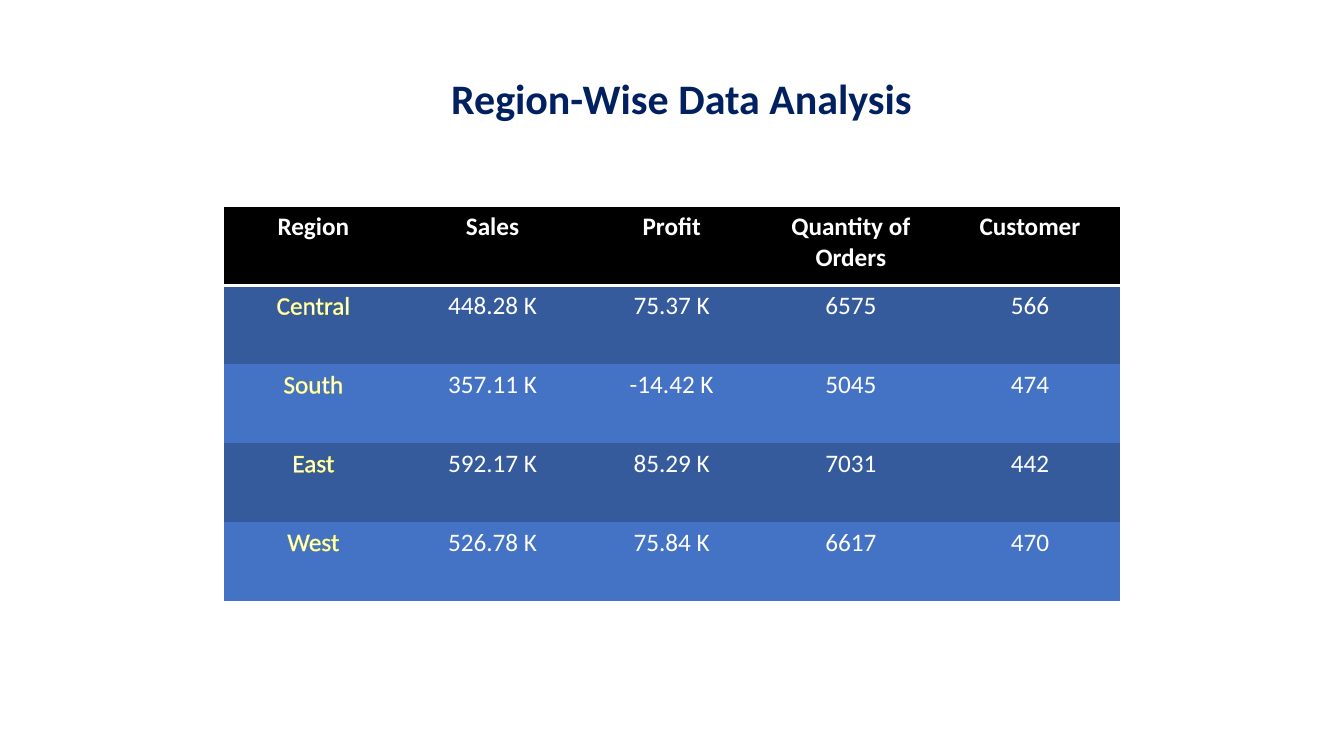
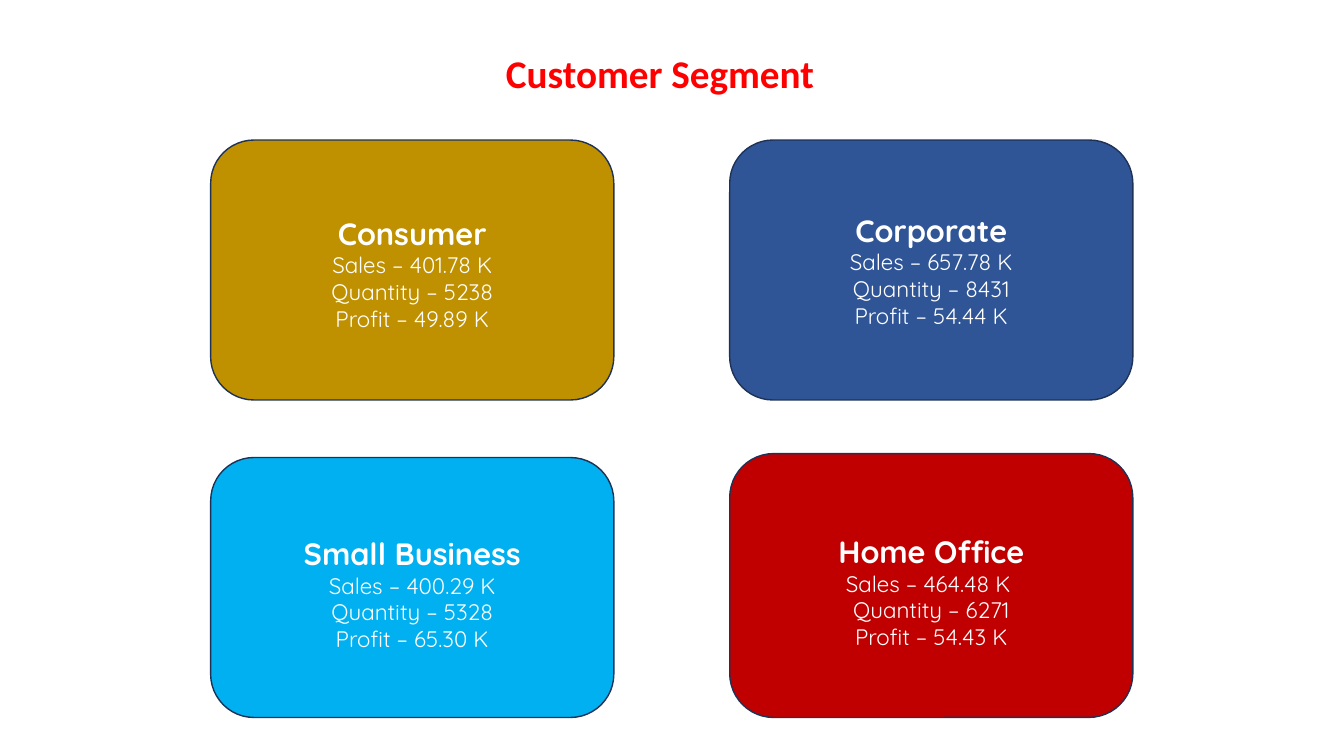
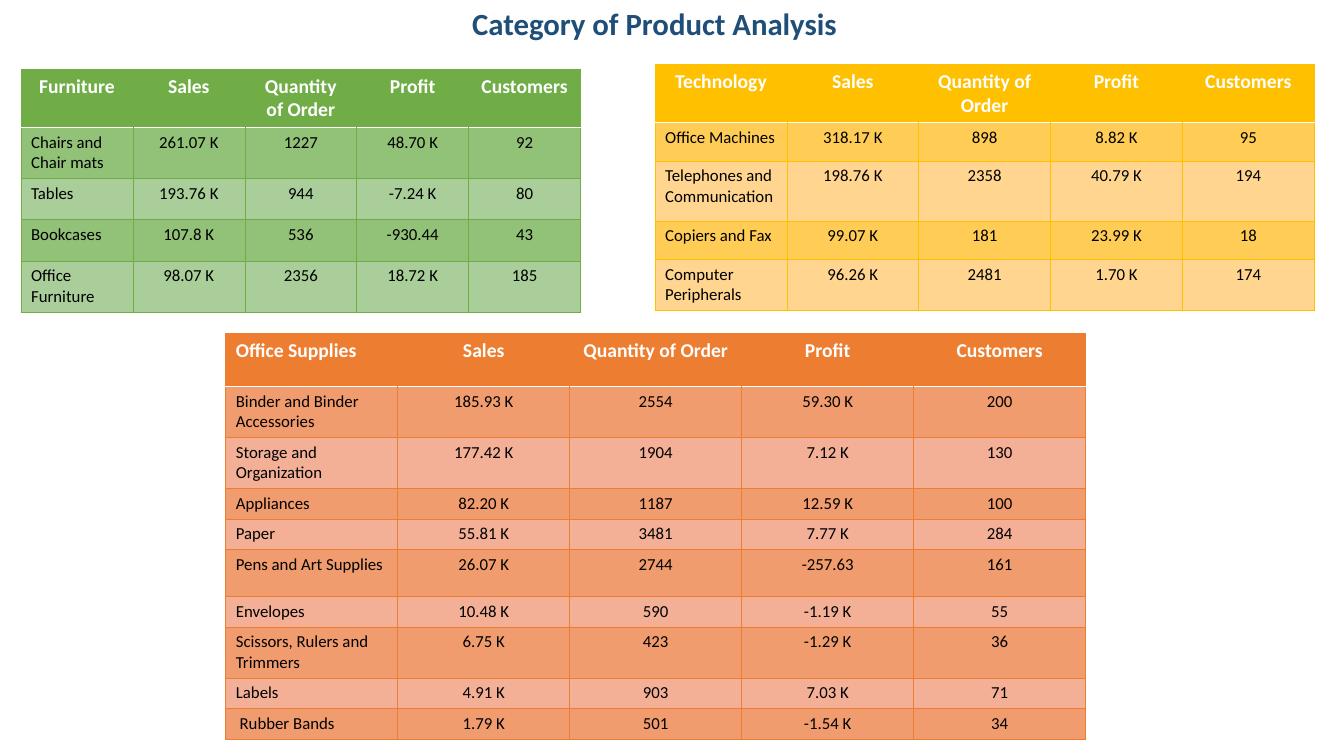
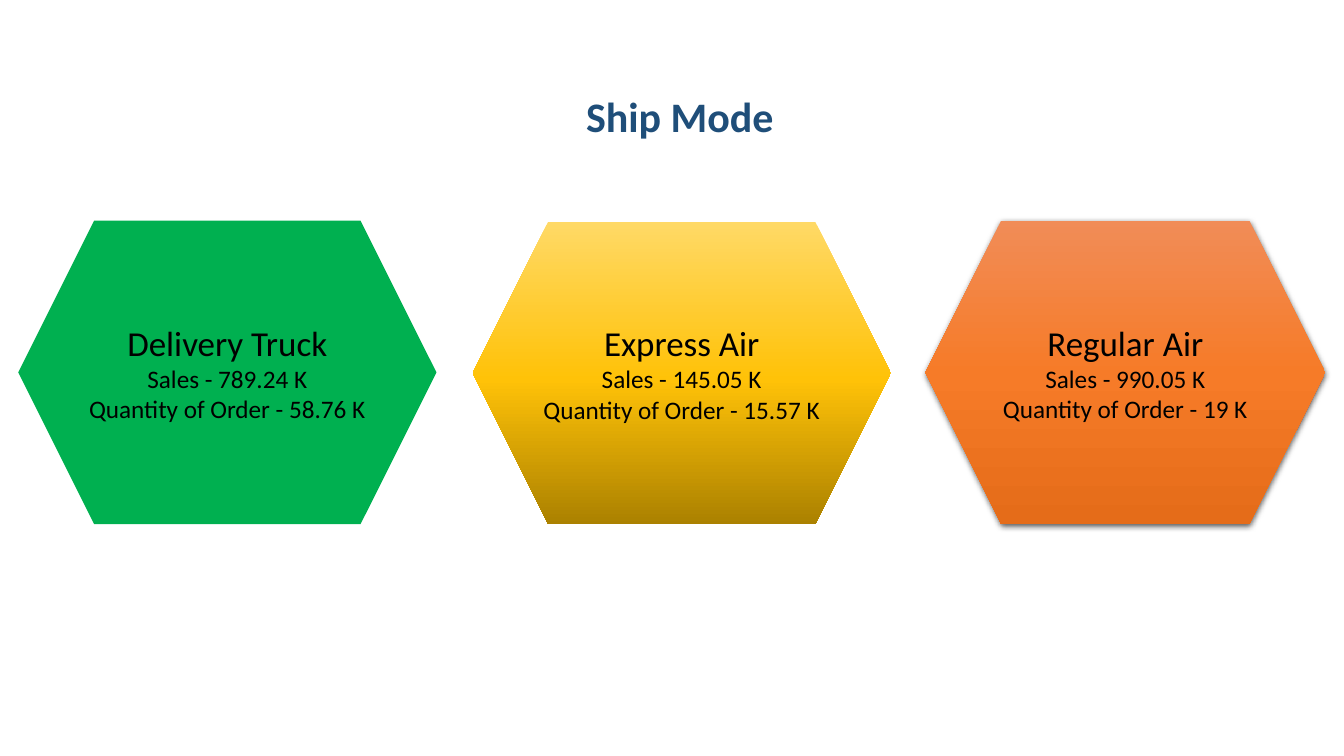
from collections import namedtuple
from dataclasses import dataclass

from lxml.etree import SubElement
from pptx import Presentation
from pptx.dml.color import RGBColor
from pptx.enum.shapes import MSO_SHAPE
from pptx.enum.text import MSO_ANCHOR, MSO_AUTO_SIZE, PP_ALIGN
from pptx.oxml.ns import qn
from pptx.util import Cm, Pt

Box = namedtuple("Box", "x y w h")
Grid = namedtuple("Grid", "box color pale heights data lead", defaults=[PP_ALIGN.CENTER])


@dataclass(frozen=True)
class Theme:
    """Colours, fonts and type sizes of the deck."""
    face: str = "Calibri"
    round_face: str = "Quicksand"
    white: str = "FFFFFF"
    black: str = "000000"
    navy: str = "002060"
    steel: str = "1F4E79"
    red: str = "FF0000"
    yellow: str = "FFFF00"
    edge: str = "1E3256"
    bands: tuple = ("365B9D", "4472C4")
    green: str = "70AD47"
    orange: str = "ED7D31"
    gold: str = "FFC000"
    emerald: str = "00B050"
    title: int = 30
    mid_title: int = 28
    low_title: int = 22
    large: int = 18
    head: int = 14
    cell: int = 12
    card_head: int = 22
    card: int = 16
    mode: int = 25


T = Theme()
NO_GRID = "{2D5ABB26-0587-4C30-8999-92F81FD0307C}"
TALL, LOW = 1.28, 0.77

REGIONS = """Region|Sales|Profit|Quantity of Orders|Customer
Central|448.28 K|75.37 K|6575|566
South|357.11 K|-14.42 K|5045|474
East|592.17 K|85.29 K|7031|442
West|526.78 K|75.84 K|6617|470"""

CHAIRS = """Furniture|Sales|Quantity of Order|Profit|Customers
Chairs and Chair mats|261.07 K|1227|48.70 K|92
Tables|193.76 K|944|-7.24 K|80
Bookcases|107.8 K|536|-930.44|43
Office Furniture|98.07 K|2356|18.72 K|185"""

TECH = """Technology|Sales|Quantity of Order|Profit|Customers
Office Machines|318.17 K|898|8.82 K|95
Telephones and Communication|198.76 K|2358|40.79 K|194
Copiers and Fax|99.07 K|181|23.99 K|18
Computer Peripherals|96.26 K|2481|1.70 K|174"""

OFFICE = """Office Supplies|Sales|Quantity of Order|Profit|Customers
Binder and Binder Accessories|185.93 K|2554|59.30 K|200
Storage and Organization|177.42 K|1904|7.12 K|130
Appliances|82.20 K|1187|12.59 K|100
Paper|55.81 K|3481|7.77 K|284
Pens and Art Supplies|26.07 K|2744|-257.63|161
Envelopes|10.48 K|590|-1.19 K|55
Scissors, Rulers and Trimmers|6.75 K|423|-1.29 K|36
Labels|4.91 K|903|7.03 K|71
 Rubber Bands|1.79 K|501|-1.54 K|34"""

GRIDS = (
    Grid(Box(0.53, 1.75, 14.1, 6.05), T.green, "A9CE99",
         (1.45, TALL, 1.04, 1.04, TALL), CHAIRS),
    Grid(Box(5.69, 8.41, 21.67, 10.13), T.orange, "F4B096",
         (1.32, TALL, TALL, LOW, LOW, 1.18, LOW, TALL, LOW, LOW), OFFICE, PP_ALIGN.LEFT),
    Grid(Box(16.51, 1.63, 16.61, 6.17), T.gold, "FFD590",
         (1.45, 0.97, 1.51, 0.97, TALL), TECH),
)

CARDS = (
    (Box(5.31, 3.53, 10.16, 6.55), "BF9000", 0.15,
     ("Consumer", "Sales – 401.78 K", "Quantity – 5238", "Profit – 49.89 K")),
    (Box(5.31, 11.53, 10.16, 6.55), "00B0F0", 0.3,
     ("Small Business", "Sales – 400.29 K", "Quantity – 5328", "Profit – 65.30 K")),
    (Box(18.39, 11.43, 10.16, 6.65), "C00000", 0.3,
     ("Home Office", "Sales – 464.48 K ", "Quantity – 6271", "Profit – 54.43 K")),
    (Box(18.39, 3.53, 10.16, 6.55), "2F5597", 0,
     ("Corporate", "Sales – 657.78 K", "Quantity – 8431", "Profit – 54.44 K")),
)

MODES = (
    (Box(0.46, 5.56, 10.54, 7.65), (T.emerald,), False,
     ("Delivery Truck", "Sales - 789.24 K", "Quantity of Order - 58.76 K")),
    (Box(23.32, 5.56, 10.08, 7.65), ((0, "F18C57"), (50, "F67B28"), (100, "E56C19")), True,
     ("Regular Air", "Sales - 990.05 K", "Quantity of Order - 19 K")),
    (Box(11.91, 5.59, 10.54, 7.62), ((0, "FFD966"), (52, "FFC208"), (100, "AB8100")), False,
     ("Express Air", "Sales - 145.05 K", "Quantity of Order - 15.57 K")),
)


def place(box):
    """Turn a box into lengths."""
    return [Cm(side) for side in box]


def blend(top, base, part):
    """Lay one colour over another."""
    pairs = zip(bytes.fromhex(top), bytes.fromhex(base))
    return "".join(f"{round(a * part + b * (1 - part)):02X}" for a, b in pairs)


def paint(fill, color):
    """Fill with one colour."""
    fill.solid()
    fill.fore_color.rgb = RGBColor.from_string(color)


def write(par, text, size, color, bold=False, face=T.face, align=PP_ALIGN.CENTER):
    """Put styled text in a paragraph."""
    par.text = text
    par.alignment = align
    font = par.font
    font.name, font.size, font.bold = face, Pt(size), bold
    font.color.rgb = RGBColor.from_string(color)


def tint(node, color):
    """Add a solid fill to an XML node."""
    SubElement(SubElement(node, qn("a:solidFill")), qn("a:srgbClr"), val=color)


def rule(cell, sides, color, width):
    """Draw borders on the sides of a cell."""
    props = cell._tc.get_or_add_tcPr()
    for side in sides:
        tint(SubElement(props, qn(f"a:ln{side}"), w=str(Pt(width))), color)


def trace(par, color):
    """Outline the letters of a paragraph."""
    for run in par.runs:
        props = run._r.get_or_add_rPr()
        line = SubElement(props, qn("a:ln"), w=str(Pt(0.75)))
        tint(line, color)
        props.insert(0, line)


def start(deck, text, box, size, color):
    """Add a slide with its title."""
    slide = deck.slides.add_slide(deck.slide_layouts[5])
    title = slide.shapes.title
    title.left, title.top, title.width, title.height = place(box)
    frame = title.text_frame
    frame.auto_size, frame.word_wrap = MSO_AUTO_SIZE.NONE, True
    frame.vertical_anchor = MSO_ANCHOR.TOP
    write(frame.paragraphs[0], text, size, color, True)
    return slide


def lay(slide, box, data, heights):
    """Add a bare table and yield its cells with their text."""
    rows = [line.split("|") for line in data.split("\n")]
    table = slide.shapes.add_table(len(rows), len(rows[0]), *place(box)).table
    table._tbl.tblPr.find(qn("a:tableStyleId")).text = NO_GRID
    for row, height in zip(table.rows, heights):
        row.height = Cm(height)
    for r, row in enumerate(rows):
        for c, text in enumerate(row):
            yield r, c, table.cell(r, c), text


def region(slide, box):
    """Build the table of regions."""
    for r, c, cell, text in lay(slide, box, REGIONS, [box.h / 5] * 5):
        par = cell.text_frame.paragraphs[0]
        write(par, text, T.large, T.white, r == 0)
        if r == 0:
            rule(cell, "B", T.white, 2)
        elif c == 0:
            trace(par, T.yellow)
        paint(cell.fill, T.bands[(r - 1) % 2] if r else T.black)


def goods(slide, grid):
    """Build one product table."""
    last = grid.data.split("\n")[0].count("|")
    shades = grid.pale, blend(grid.color, grid.pale, 0.4)
    for r, c, cell, text in lay(slide, grid.box, grid.data, grid.heights):
        par = cell.text_frame.paragraphs[0]
        if r == 0:
            align = PP_ALIGN.CENTER if c else grid.lead
            write(par, text, T.head, T.white, True, align=align)
            sides = ("L" if c == 0 else "") + ("R" if c == last else "") + "T"
            rule(cell, sides, grid.color, 0.5)
            rule(cell, "B", T.white, 1)
            paint(cell.fill, grid.color)
        else:
            align = PP_ALIGN.CENTER if c else PP_ALIGN.LEFT
            write(par, text, T.cell, T.black, align=align)
            rule(cell, "LRB" if r == 1 else "LRTB", grid.color, 0.5)
            paint(cell.fill, shades[r % 2])


def panel(slide, kind, box, lines, sizes, color, face, bold):
    """Add a shape with a heading and smaller lines."""
    shape = slide.shapes.add_shape(kind, *place(box))
    shape.shadow.inherit = False
    frame = shape.text_frame
    frame.word_wrap = True
    frame.vertical_anchor = MSO_ANCHOR.MIDDLE
    for i, text in enumerate(lines):
        par = frame.add_paragraph() if i else frame.paragraphs[0]
        write(par, text, sizes[min(i, 1)], color, bold and i == 0, face)
    return shape


def card(slide, box, color, drop, lines):
    """Build one customer card."""
    shape = panel(slide, MSO_SHAPE.ROUNDED_RECTANGLE, box, lines,
                  (T.card_head, T.card), T.white, T.round_face, True)
    shape.text_frame.margin_top = Cm(0.13 + drop)
    paint(shape.fill, color)
    shape.line.color.rgb = RGBColor.from_string(T.edge)
    shape.line.width = Pt(1)


def fade(shape, stops):
    """Fill a shape from top to bottom."""
    shape.fill.gradient()
    shape.fill.gradient_angle = 270
    marks = shape._element.spPr.find(qn("a:gradFill")).find(qn("a:gsLst"))
    for old in list(marks):
        marks.remove(old)
    for spot, color in stops:
        mark = SubElement(marks, qn("a:gs"), pos=str(spot * 1000))
        SubElement(mark, qn("a:srgbClr"), val=color)


def shade(shape):
    """Cast a soft shadow below a shape."""
    group = shape._element.spPr.find(qn("a:effectLst"))
    cast = SubElement(group, qn("a:outerShdw"), blurRad=str(Pt(4.5)), dist=str(Pt(1.5)),
                      dir="5400000", algn="ctr", rotWithShape="0")
    color = SubElement(cast, qn("a:srgbClr"), val=T.black)
    SubElement(color, qn("a:alpha"), val="63000")


def mode(slide, box, stops, soft, lines):
    """Build one shipping hexagon."""
    shape = panel(slide, MSO_SHAPE.HEXAGON, box, lines,
                  (T.mode, T.large), T.black, T.face, False)
    shape.line.fill.background()
    if len(stops) == 1:
        paint(shape.fill, stops[0])
    else:
        fade(shape, stops)
    if soft:
        shade(shape)


def main():
    """Build and save the deck."""
    deck = Presentation()
    deck.slide_width, deck.slide_height = Cm(33.87), Cm(19.05)

    slide = start(deck, "Region-Wise Data Analysis", Box(10.92, 1.7, 12.52, 1.55),
                  T.title, T.navy)
    region(slide, Box(5.64, 5.21, 22.58, 9.93))

    slide = start(deck, "Customer Segment", Box(10.19, 1.12, 12.88, 1.45),
                  T.mid_title, T.red)
    for item in CARDS:
        card(slide, *item)

    slide = start(deck, "Category of Product Analysis", Box(10.87, 0, 11.25, 1.19),
                  T.low_title, T.steel)
    for grid in GRIDS:
        goods(slide, grid)

    slide = start(deck, "Ship Mode", Box(12.83, 2.16, 8.61, 1.55), T.title, T.steel)
    for item in MODES:
        mode(slide, *item)

    deck.save("out.pptx")


if __name__ == "__main__":
    main()
